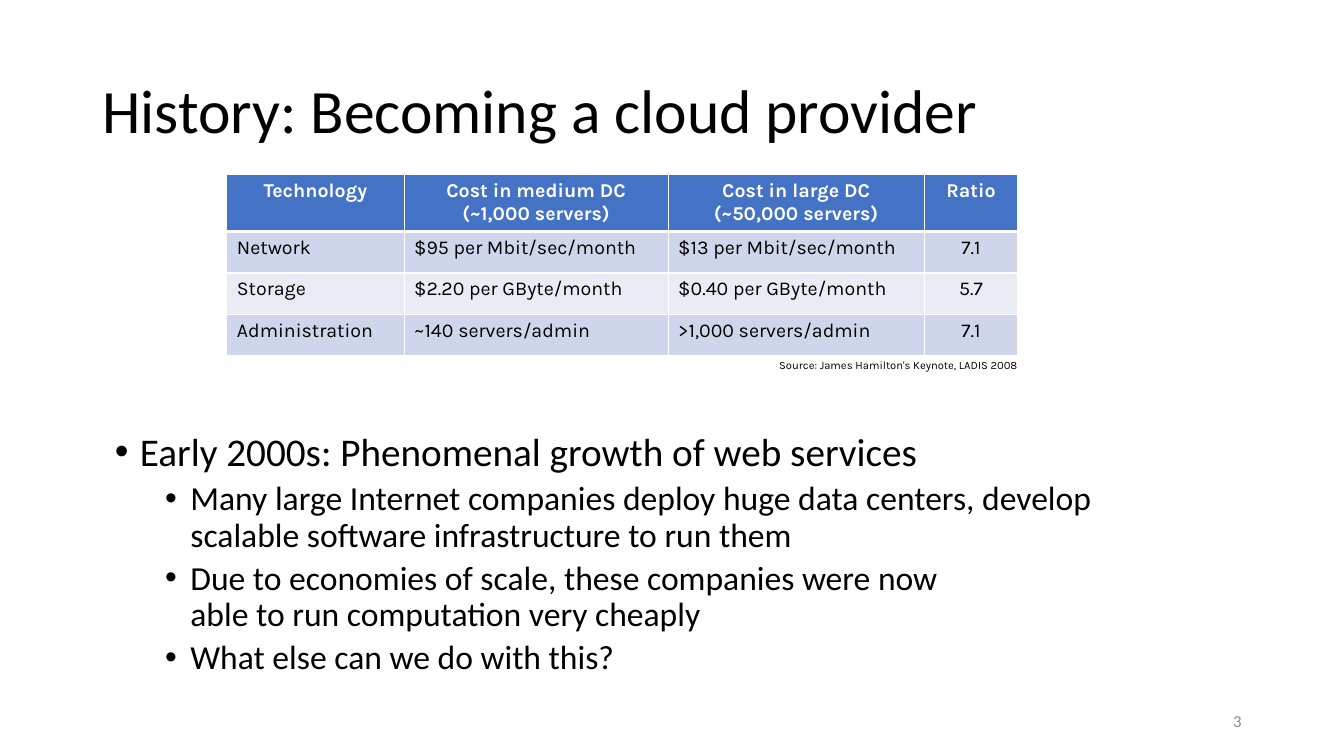
from lxml.etree import SubElement
from pptx import Presentation
from pptx.dml.color import RGBColor
from pptx.enum.text import MSO_ANCHOR, PP_ALIGN
from pptx.oxml import parse_xml
from pptx.oxml.ns import nsdecls, qn
from pptx.util import Pt

COLORS = {
    "black": "000000",
    "white": "FFFFFF",
    "gray": "8C8C8C",
    "header": "4472C4",
    "odd": "CFD5EA",
    "even": "E9EBF5",
}


def style(para, font, size, color, align=PP_ALIGN.LEFT, bold=False):
    para.alignment = align
    para.font.name = font
    para.font.size = Pt(size)
    para.font.bold = bold
    para.font.color.rgb = RGBColor.from_string(COLORS[color])


def add_text(left, top, width, height, anchor=MSO_ANCHOR.TOP, wrap=True):
    box = page.shapes.add_textbox(Pt(left), Pt(top), Pt(width), Pt(height))
    box.text_frame.word_wrap = wrap
    box.text_frame.vertical_anchor = anchor
    return box.text_frame


deck = Presentation()
deck.slide_width, deck.slide_height = Pt(960), Pt(540)
page = deck.slides.add_slide(deck.slide_layouts[6])

title = add_text(66, 28.75, 828, 104.4, MSO_ANCHOR.MIDDLE).paragraphs[0]
title.text = "History: Becoming a cloud provider"
title.line_spacing = 0.9
style(title, "Calibri", 44, "black")

bullets = [
    (0, "Early 2000s: Phenomenal growth of web services"),
    (1, "Many large Internet companies deploy huge data centers, develop "
        "scalable software infrastructure to run them"),
    (1, "Due to economies of scale, these companies were now \v"
        "able to run computation very cheaply"),
    (1, "What else can we do with this?"),
]
body = add_text(74.9, 305.3, 771.8, 209.5)
for index, (level, text) in enumerate(bullets):
    para = body.add_paragraph() if index else body.paragraphs[0]
    para.text = text
    para.level = level
    para.line_spacing = 0.9
    para.space_before = Pt(5 if level else 10)
    style(para, "Calibri", 24 if level else 28, "black")
    properties = para._p.get_or_add_pPr()
    properties.set("marL", str(Pt(18 + 36 * level)))
    properties.set("indent", str(Pt(-18)))
    bullet_font = parse_xml(f'<a:buFont {nsdecls("a")} typeface="Arial"/>')
    bullet = parse_xml(f'<a:buChar {nsdecls("a")} char="•"/>')
    properties.insert_element_before(bullet_font, "a:defRPr")
    properties.insert_element_before(bullet, "a:defRPr")

number = add_text(678, 500.5, 216, 28.8, MSO_ANCHOR.MIDDLE).paragraphs[0]
number.text = "3"
style(number, "Calibri", 12, "gray", PP_ALIGN.RIGHT)

costs = [
    ["Technology", "Cost in medium DC\v(~1,000 servers)",
     "Cost in large DC (~50,000 servers)", "Ratio"],
    ["Network", "$95 per Mbit/sec/month", "$13 per Mbit/sec/month", "7.1"],
    ["Storage", "$2.20 per GByte/month", "$0.40 per GByte/month", "5.7"],
    ["Administration", "~140 servers/admin", ">1,000 servers/admin", "7.1"],
]
widths = [126.7, 188.6, 182.9, 67]
heights = [39.6, 29.5, 29.5, 29.5]
table = page.shapes.add_table(
    len(costs), len(widths), Pt(162), Pt(124.6), Pt(sum(widths)), Pt(sum(heights))
).table
for column, width in zip(table.columns, widths):
    column.width = Pt(width)
for row_index, (row, height) in enumerate(zip(table.rows, heights)):
    row.height = Pt(height)
    header = row_index == 0
    fill = "header" if header else "odd" if row_index % 2 else "even"
    for column_index, cell in enumerate(row.cells):
        cell.fill.solid()
        cell.fill.fore_color.rgb = RGBColor.from_string(COLORS[fill])
        para = cell.text_frame.paragraphs[0]
        para.text = costs[row_index][column_index]
        centered = header or column_index == 3
        style(para, "Karla", 14, "white" if header else "black",
              PP_ALIGN.CENTER if centered else PP_ALIGN.LEFT, header)
        cell_properties = cell._tc.get_or_add_tcPr()
        for place, side in enumerate(["lnL", "lnR", "lnT", "lnB"]):
            thick = (row_index, side) in [(0, "lnB"), (1, "lnT")]
            border = parse_xml(f'<a:{side} {nsdecls("a")} w="{Pt(3 if thick else 1)}"/>')
            solid = SubElement(border, qn("a:solidFill"))
            SubElement(solid, qn("a:srgbClr"), val=COLORS["white"])
            cell_properties.insert(place, border)

source = add_text(549.4, 252.7, 185, 17.3, wrap=False).paragraphs[0]
source.text = "Source: James Hamilton's Keynote, LADIS 2008"
style(source, "Karla", 8, "black", PP_ALIGN.CENTER)

deck.save("out.pptx")
